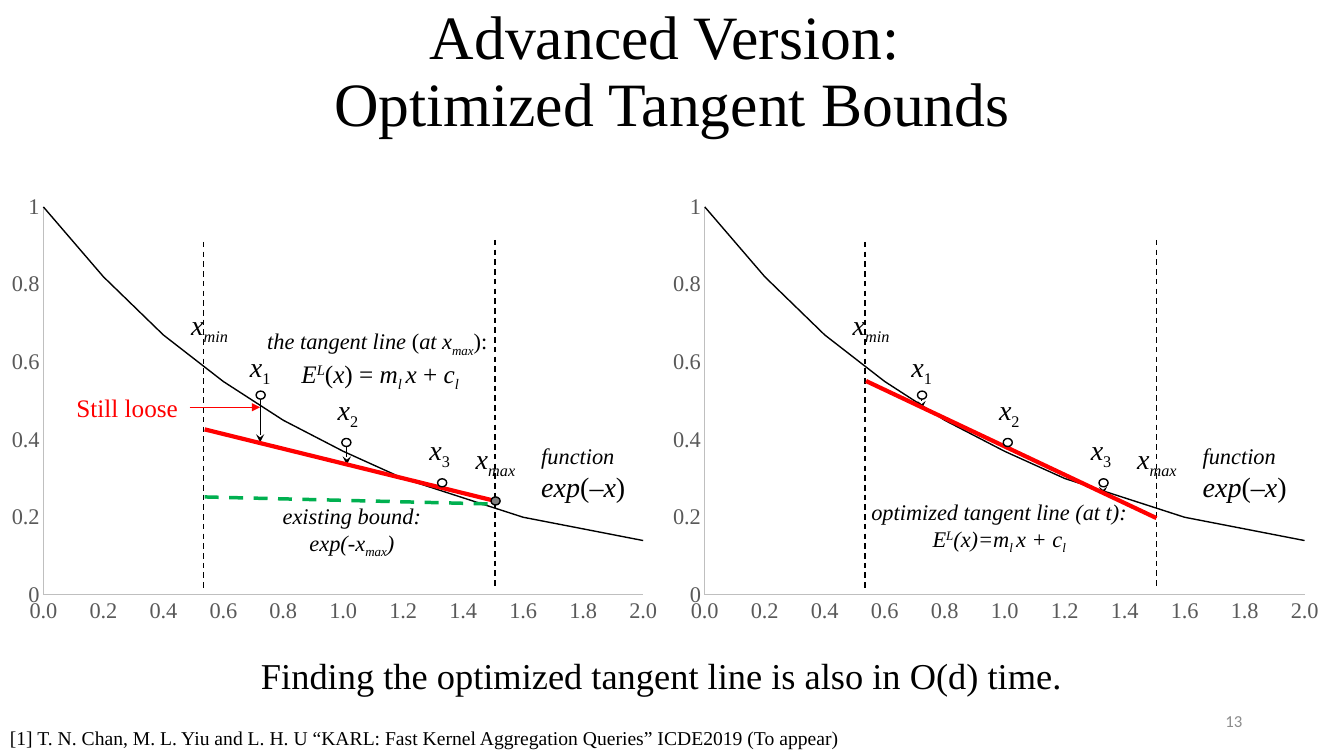
from lxml import etree
from pptx import Presentation
from pptx.chart.data import XyChartData
from pptx.dml.color import RGBColor
from pptx.enum.chart import XL_CHART_TYPE, XL_TICK_MARK
from pptx.enum.dml import MSO_LINE
from pptx.enum.shapes import MSO_CONNECTOR, MSO_SHAPE
from pptx.enum.text import MSO_ANCHOR, MSO_AUTO_SIZE, PP_ALIGN
from pptx.oxml import parse_xml
from pptx.oxml.ns import qn
from pptx.util import Pt

SCATTER = XL_CHART_TYPE.XY_SCATTER_SMOOTH_NO_MARKERS
NO_TICK = XL_TICK_MARK.NONE
DASH = MSO_LINE.DASH
STRAIGHT = MSO_CONNECTOR.STRAIGHT
OVAL = MSO_SHAPE.OVAL
TOP, MIDDLE = MSO_ANCHOR.TOP, MSO_ANCHOR.MIDDLE
GROW, FIXED = MSO_AUTO_SIZE.SHAPE_TO_FIT_TEXT, MSO_AUTO_SIZE.NONE
LEFT, CENTER, RIGHT = PP_ALIGN.LEFT, PP_ALIGN.CENTER, PP_ALIGN.RIGHT

PX = 9144
THEME = {
    "serif": "Times New Roman", "sans": "Calibri",
    "black": RGBColor(0, 0, 0), "white": RGBColor(255, 255, 255),
    "red": RGBColor(255, 0, 0), "green": RGBColor(0, 176, 80),
    "gray": RGBColor(128, 128, 128), "pale": RGBColor(140, 140, 140),
    "tick": RGBColor(89, 89, 89), "axis": RGBColor(191, 191, 191),
    "title": 44, "claim": 26, "label": 20, "math": 18, "note": 16,
    "cite": 14, "page": 12, "base": 10,
}
SHIFT = {"_": "-25000", "^": "30000"}


def write(home, box, lines, size, align=LEFT, color="black", face="serif",
          wrap=True, anchor=TOP, fit=GROW, space=None):
    shape = home.shapes.add_textbox(*(n * PX for n in box))
    frame = shape.text_frame
    look = {"word_wrap": wrap, "vertical_anchor": anchor, "auto_size": fit}
    for name, value in look.items():
        setattr(frame, name, value)
    for row, parts in enumerate(lines):
        para = frame.add_paragraph() if row else frame.paragraphs[0]
        para.alignment = align
        para.line_spacing = space
        for text, mark, *own in parts:
            if not text:
                para.add_line_break()
                continue
            run = para.add_run()
            run.text = text
            style = {"name": THEME[face], "italic": "i" in mark,
                     "size": Pt(THEME[own[0] if own else size])}
            for name, value in style.items():
                setattr(run.font, name, value)
            run.font.color.rgb = THEME[color]
            if mark[-1:] in SHIFT:
                run.font._element.set("baseline", SHIFT[mark[-1]])
    return shape


def stroke(ends, color, width, dash=None, head=None):
    line = slide.shapes.add_connector(STRAIGHT, *(n * PX for n in ends))
    line.line.color.rgb = THEME[color]
    line.line.width = Pt(width)
    line.line.dash_style = dash
    if head:
        etree.SubElement(line.line._get_or_add_ln(), qn("a:tailEnd"), type=head)
    etree.SubElement(line._element.spPr, qn("a:effectLst"))
    return line


deck = Presentation()
deck.slide_width, deck.slide_height = 1333 * PX, 750 * PX
slide = deck.slides.add_slide(deck.slide_layouts[6])

write(slide, (92, 0, 1150, 145),
      [[("Advanced Version: ", ""), ("", ""), ("Optimized Tangent Bounds", "")]],
      "title", CENTER, anchor=MIDDLE, fit=FIXED, space=0.9)

curve = [1, 0.82, 0.67, 0.55, 0.45, 0.37, 0.3, 0.25, 0.2, 0.17, 0.14]
data = XyChartData()
points = data.add_series("Series 1")
for step, value in enumerate(curve):
    points.add_data_point(step / 5, value)

plot_box = {"x": 0.066, "y": 0.048, "w": 0.892, "h": 0.867}
layout = (
    '<c:layout xmlns:c="http://schemas.openxmlformats.org/drawingml/2006/chart">'
    '<c:manualLayout><c:layoutTarget val="inner"/>'
    '<c:xMode val="edge"/><c:yMode val="edge"/>'
    + "".join(f'<c:{key} val="{value}"/>' for key, value in plot_box.items())
    + "</c:manualLayout></c:layout>")

panels = [
    {"left": 656, "bound": (378, 514), "stems": [(258, 388, 406), (438, 475, 491)],
     "dots": []},
    {"left": 0, "bound": (426, 497), "stems": [(258, 388, 439), (344, 435, 461)],
     "dots": [(487, 493, "gray")]},
]
rails = [(202, 240, 585), (491, 238, 582)]
marks = [(254, 388, "white"), (339, 435, "white"), (434, 475, "white")]
names = [
    (178, 302, 60, "min", "i_", CENTER), (238, 344, 42, "1", "_", LEFT),
    (325, 386, 42, "2", "_", LEFT), (416, 426, 42, "3", "_", LEFT),
    (460, 435, 63, "max", "i_", CENTER),
]

for panel in panels:
    left = panel["left"]
    chart = slide.shapes.add_chart(
        SCATTER, *(n * PX for n in (left - 1, 184, 667, 444)), data).chart
    chart.has_title = chart.has_legend = False
    chart.font.name, chart.font.size = THEME["serif"], Pt(THEME["base"])
    chart.plots[0].vary_by_categories = False
    series = chart.plots[0].series[0]
    series.smooth = True
    series.format.line.color.rgb = THEME["black"]
    series.format.line.width = Pt(1)
    area = chart._chartSpace.chart.plotArea
    for old in area.findall(qn("c:layout")):
        area.remove(old)
    area.insert(0, parse_xml(layout))
    for axis, top, form in ((chart.category_axis, 2, "#,##0.0"),
                            (chart.value_axis, 1, "General")):
        scale = {"minimum_scale": 0, "maximum_scale": top, "major_unit": 0.2,
                 "has_major_gridlines": False, "major_tick_mark": NO_TICK,
                 "minor_tick_mark": NO_TICK}
        for name, value in scale.items():
            setattr(axis, name, value)
        axis.tick_labels.number_format = form
        axis.tick_labels.number_format_is_linked = False
        font = axis.tick_labels.font
        font.name, font.size = THEME["serif"], Pt(THEME["note"])
        font.color.rgb = THEME["tick"]
        axis.format.line.color.rgb = THEME["axis"]
        axis.format.line.width = Pt(0.75)

    for x, top, end in panel["stems"]:
        stroke((left + x, top, left + x, end), "black", 0.5, head="stealth")
    for x, top, end in rails:
        stroke((left + x, top, left + x, end), "black", 1, DASH)
    start, end = panel["bound"]
    stroke((left + 203, start, left + 491, end), "red", 3)
    for x, y, color in marks + panel["dots"]:
        dot = slide.shapes.add_shape(OVAL, *(n * PX for n in (left + x, y, 9, 8)))
        dot.shadow.inherit = False
        dot.fill.solid()
        dot.fill.fore_color.rgb = THEME[color]
        dot.line.color.rgb = THEME["black"]
        dot.line.width = Pt(1)

    write(slide, (left + 527, 427, 104, 78),
          [[("function", "i", "note"), (" ", "i")],
           [("exp", "i"), ("(", ""), ("–x", "i"), (")", "")]],
          "label", wrap=False, anchor=MIDDLE)
    group = slide.shapes.add_group_shape()
    for x, y, width, sub, mark, align in names:
        write(group, (left + x, y, width, 44), [[("x", "i"), (sub, mark)]],
              "label", align, wrap=False, anchor=MIDDLE)

write(slide, (852, 489, 278, 64),
      [[("optimized tangent line (at t):", "i")],
       [("E", "i"), ("L", "i^"), ("(x)=m", "i"), ("l ", "i_"),
        ("x + c", "i"), ("l", "i_")]],
      "note", CENTER, wrap=False)
write(slide, (238, 323, 278, 68),
      [[("the tangent line ", "i"), ("(", ""), ("at x", "i"), ("max", "i_"),
        ("): ", "")],
       [("E", "i", "math"), ("L", "i^", "math"), ("(", "", "math"),
        ("x", "i", "math"), (") = ", "", "math"), ("m", "i", "math"),
        ("l ", "i_", "math"), ("x", "i", "math"), (" + ", "", "math"),
        ("c", "i", "math"), ("l", "i_", "math")]],
      "note", CENTER, anchor=MIDDLE)
stroke((203, 493, 488, 500), "green", 2.5, DASH)
write(slide, (269, 493, 160, 64),
      [[("existing bound:", "i")], [("exp(-x", "i"), ("max", "i_"), (")", "i")]],
      "note", CENTER, wrap=False)
loose = write(slide, (66, 384, 122, 40), [[("Still loose", "")]], "math",
              color="red")
arrow = stroke((188, 404, 258, 404), "red", 0.5, head="triangle")
arrow.begin_connect(loose, 3)

write(slide, (249, 643, 914, 54),
      [[("Finding the optimized tangent line is also in O(d) time.", "")]], "claim")
write(slide, (942, 695, 300, 40), [[("13", "")]], "page", RIGHT, "pale", "sans",
      anchor=MIDDLE, fit=FIXED)
write(slide, (0, 710, 1333, 40),
      [[("[1] T. N. Chan, M. L. Yiu and L. H. U “KARL: Fast Kernel Aggregation "
         "Queries” ICDE2019 (To appear)", ""), (" ", "", "math")]], "cite")

deck.save("out.pptx")
